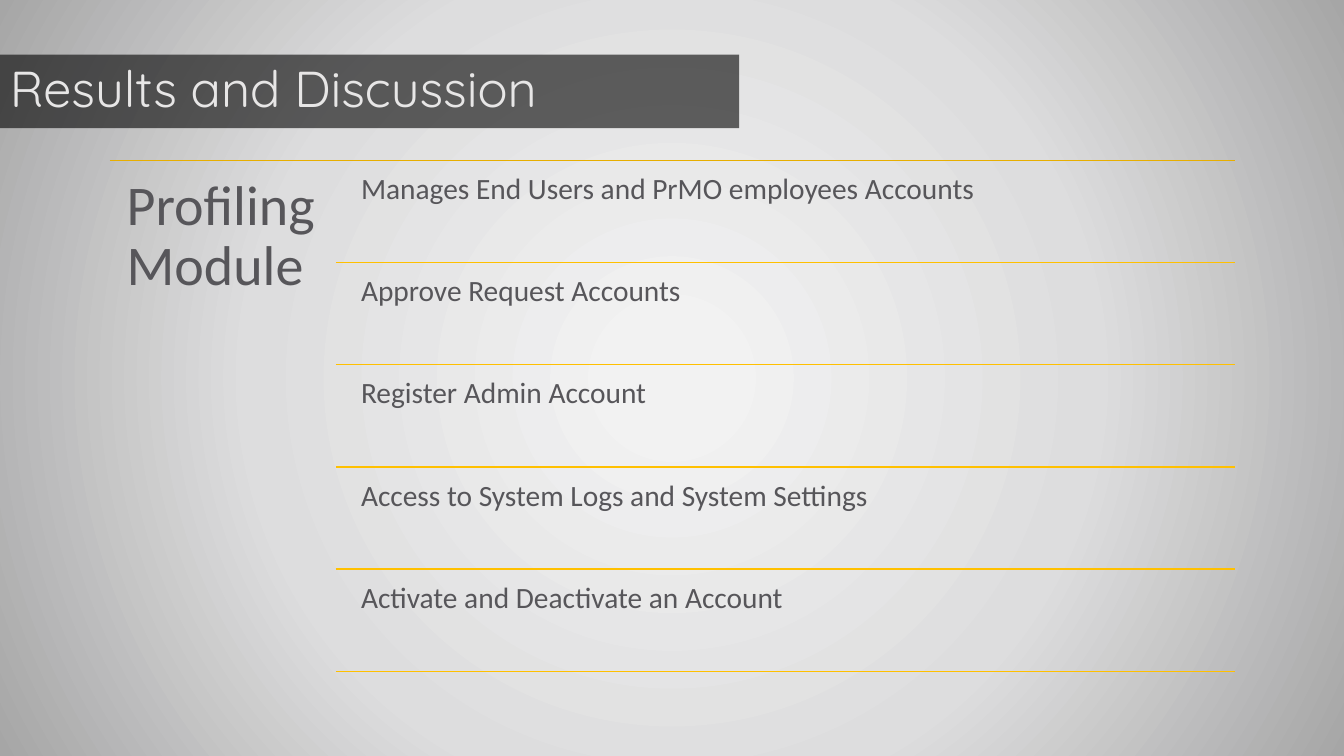
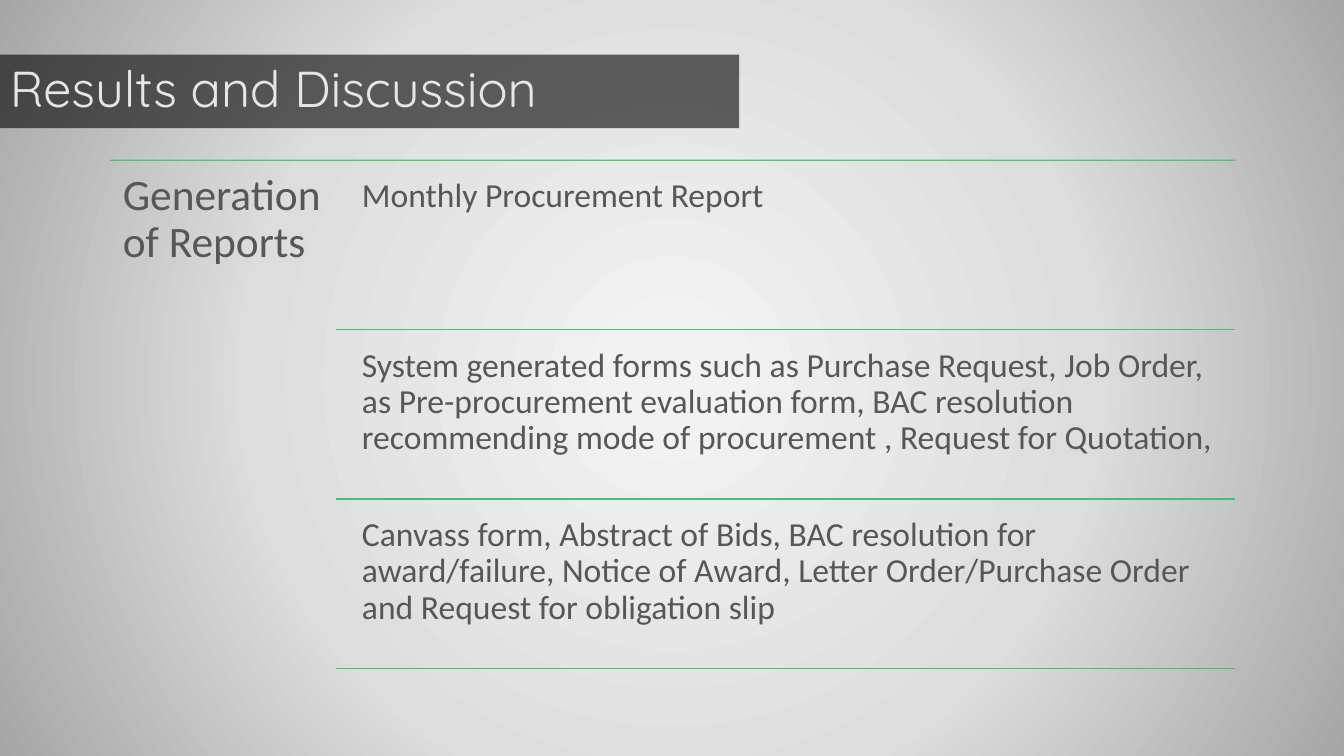
from dataclasses import dataclass

from lxml import etree
from pptx import Presentation
from pptx.dml.color import RGBColor
from pptx.enum.shapes import MSO_CONNECTOR, MSO_SHAPE
from pptx.enum.text import MSO_ANCHOR, PP_ALIGN
from pptx.oxml import parse_xml
from pptx.oxml.ns import qn
from pptx.util import Pt

RECTANGLE = MSO_SHAPE.RECTANGLE
STRAIGHT = MSO_CONNECTOR.STRAIGHT
TOP, MIDDLE = MSO_ANCHOR.TOP, MSO_ANCHOR.MIDDLE
LEFT = PP_ALIGN.LEFT

COLORS = {
    "band": "000000",
    "title": "E7E6E6",
    "body": "57565A",
    "amber": "FFC000",
    "dark amber": "E7AE00",
    "green": "44C072",
}
BACKGROUND_STOPS = {6: "F2F2F2", 55: "DDDDDE", 100: "A6A6A6"}
DRAWING_NAMESPACE = "http://schemas.openxmlformats.org/drawingml/2006/main"

TITLE = "Results and Discussion"
LIST_TOP = 114.5
HEADING_LEFT, HEADING_WIDTH, HEADING_HEIGHT = 78.5, 160.5, 368.5
RULE_LEFT, RULE_RIGHT = 240, 882.5
ITEM_LEFT = 251.5


@dataclass(frozen=True)
class TextStyle:
    """Font, size, colour and inner margin of a text."""

    font: str
    size: float
    color: str
    inset: float
    anchor: MSO_ANCHOR = TOP


@dataclass(frozen=True)
class RuledList:
    """A heading beside items parted by coloured rules."""

    heading: str
    items: tuple[str, ...]
    heading_style: TextStyle
    item_style: TextStyle
    top_color: str
    rule_color: str
    pitch: float
    item_gap: float
    item_height: float
    top_opacity: int = 100


TITLE_STYLE = TextStyle("Quicksand", 36, "title", 7.2, MIDDLE)

RULED_LISTS = (
    RuledList(
        heading="Profiling Module",
        items=(
            "Manages End Users and PrMO employees Accounts",
            "Approve Request Accounts",
            "Register Admin Account",
            "Access to System Logs and System Settings",
            "Activate and Deactivate an Account",
        ),
        heading_style=TextStyle("Calibri", 40, "body", 12),
        item_style=TextStyle("Calibri", 21, "body", 6.4),
        top_color="dark amber",
        rule_color="amber",
        pitch=73,
        item_gap=3.5,
        item_height=70,
    ),
    RuledList(
        heading="Generation of Reports",
        items=(
            "Monthly Procurement Report",
            "System generated forms such as Purchase Request, Job Order, as "
            "Pre-procurement evaluation form, BAC resolution recommending mode "
            "of procurement , Request for Quotation,",
            "Canvass form, Abstract of Bids, BAC resolution for award/failure, "
            "Notice of Award, Letter Order/Purchase Order and Request for "
            "obligation slip",
        ),
        heading_style=TextStyle("Calibri", 31, "body", 9.3),
        item_style=TextStyle("Calibri", 24, "body", 7.2),
        top_color="green",
        rule_color="green",
        pitch=121,
        item_gap=6,
        item_height=115,
        top_opacity=90,
    ),
)


def color_of(name: str) -> RGBColor:
    """Return the named colour."""
    return RGBColor.from_string(COLORS[name])


def set_opacity(shape, percent: int) -> None:
    """Set the opacity of every plain colour of a shape."""
    for color in shape._element.spPr.iter(qn("a:srgbClr")):
        etree.SubElement(color, qn("a:alpha")).set("val", str(percent * 1000))


def set_background(master) -> None:
    """Give the master a circular gradient from its centre."""
    fill = master.background.fill
    fill.gradient()
    gradient = next(master._element.iter(qn("a:gradFill")))
    stops = "".join(
        f'<a:gs pos="{position * 1000}"><a:srgbClr val="{color}"/></a:gs>'
        for position, color in BACKGROUND_STOPS.items()
    )
    replacement = parse_xml(
        f'<a:gradFill xmlns:a="{DRAWING_NAMESPACE}" rotWithShape="1">'
        f"<a:gsLst>{stops}</a:gsLst>"
        '<a:path path="circle">'
        '<a:fillToRect l="50000" t="50000" r="50000" b="50000"/>'
        "</a:path></a:gradFill>"
    )
    gradient.getparent().replace(gradient, replacement)


def write_text(shape, text: str, style: TextStyle) -> None:
    """Write one left-aligned paragraph into a shape."""
    frame = shape.text_frame
    frame_format = {"word_wrap": True, "vertical_anchor": style.anchor}
    for side in ("left", "top", "right", "bottom"):
        frame_format[f"margin_{side}"] = Pt(style.inset)
    paragraph = frame.paragraphs[0]
    run = paragraph.add_run()
    run.text = text
    formats = (
        (frame, frame_format),
        (paragraph, {"alignment": LEFT, "line_spacing": 0.9}),
        (run.font, {"name": style.font, "size": Pt(style.size)}),
    )
    for target, values in formats:
        for attribute, value in values.items():
            setattr(target, attribute, value)
    run.font.color.rgb = color_of(style.color)


def add_text(slide, left: float, top: float, width: float, height: float,
             text: str, style: TextStyle) -> None:
    """Add a text box."""
    box = slide.shapes.add_textbox(Pt(left), Pt(top), Pt(width), Pt(height))
    write_text(box, text, style)


def add_rule(slide, left: float, top: float, color: str, opacity: int = 100) -> None:
    """Add a thin horizontal line that ends at the right edge of the list."""
    rule = slide.shapes.add_connector(
        STRAIGHT, Pt(left), Pt(top), Pt(RULE_RIGHT), Pt(top)
    )
    rule.line.width = Pt(1)
    rule.line.color.rgb = color_of(color)
    etree.SubElement(rule._element.spPr, qn("a:effectLst"))
    if opacity < 100:
        set_opacity(rule, opacity)


def add_title_band(slide) -> None:
    """Add the dark translucent band with the title."""
    band = slide.shapes.add_shape(RECTANGLE, Pt(0), Pt(39), Pt(528), Pt(52.5))
    band.shadow.inherit = False
    band.fill.solid()
    band.fill.fore_color.rgb = color_of("band")
    band.line.fill.background()
    set_opacity(band, 60)
    write_text(band, TITLE, TITLE_STYLE)


def add_ruled_list(slide, ruled_list: RuledList) -> None:
    """Add the heading, the items and their rules."""
    add_rule(slide, HEADING_LEFT, LIST_TOP, ruled_list.top_color,
             ruled_list.top_opacity)
    add_text(slide, HEADING_LEFT, LIST_TOP, HEADING_WIDTH, HEADING_HEIGHT,
             ruled_list.heading, ruled_list.heading_style)
    for index, item in enumerate(ruled_list.items):
        top = LIST_TOP + index * ruled_list.pitch
        add_text(slide, ITEM_LEFT, top + ruled_list.item_gap,
                 RULE_RIGHT - ITEM_LEFT, ruled_list.item_height,
                 item, ruled_list.item_style)
        add_rule(slide, RULE_LEFT, top + ruled_list.pitch, ruled_list.rule_color)


def main() -> None:
    """Build and save the presentation."""
    presentation = Presentation()
    presentation.slide_width, presentation.slide_height = Pt(960), Pt(540)
    set_background(presentation.slide_master)
    for ruled_list in RULED_LISTS:
        slide = presentation.slides.add_slide(presentation.slide_layouts[6])
        add_title_band(slide)
        add_ruled_list(slide, ruled_list)
    presentation.save("out.pptx")


if __name__ == "__main__":
    main()
